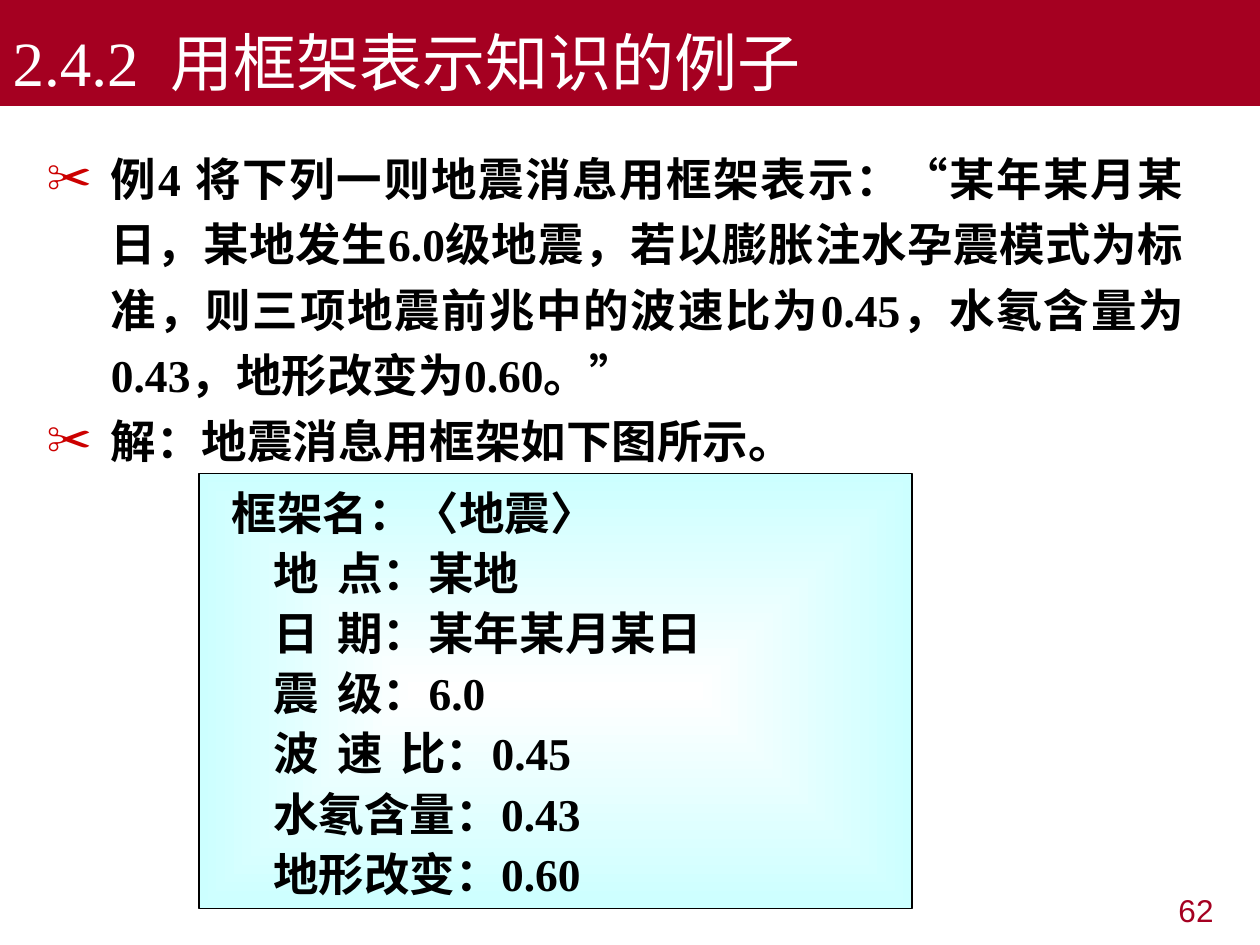
from dataclasses import dataclass

from lxml import etree
from pptx import Presentation
from pptx.dml.color import RGBColor as Rgb
from pptx.enum import shapes, text
from pptx.oxml import ns
from pptx.util import Emu, Inches, Pt

COLS, ROWS = 100, 75


@dataclass(frozen=True)
class Theme:
    band: str = "A50021"
    mark: str = "CC0000"
    ink: str = "000000"
    pale: str = "FFFFFF"
    tint: str = "CCFFFF"
    serif: str = "Times New Roman"
    sans: str = "Arial"
    head: int = 36
    main: int = 26
    small: int = 18


LOOK = Theme()
FACTS = [
    "例4 将下列一则地震消息用框架表示：“某年某月某日，某地发生6.0级地震，"
    "若以膨胀注水孕震模式为标准，则三项地震前兆中的波速比为0.45，"
    "水氡含量为0.43，地形改变为0.60。”",
    "解：地震消息用框架如下图所示。",
]
# Slot text, with the tab stops (inches) that spread its label
SLOTS = [
    ("地\t点：某地", [1.43]),
    ("日\t期：某年某月某日", [1.43]),
    ("震\t级：6.0", [1.43]),
    ("波\t速\t比：0.45", [1.02, 1.55]),
    ("水氡含量：0.43", []),
    ("地形改变：0.60", []),
]


def grid(deck, col, row, wide, high):
    """Turn grid columns and rows into left, top, width, height."""
    x, y = deck.slide_width / COLS, deck.slide_height / ROWS
    return [Emu(round(n)) for n in (col * x, row * y, wide * x, high * y)]


def place(shape, box):
    shape.left, shape.top, shape.width, shape.height = box


def node(up, tag, **attrs):
    return etree.SubElement(up, ns.qn(tag), attrs)


def write(para, words, size, color, font=LOOK.serif, bold=False):
    run = para.add_run()
    run.text = words
    run.font.name, run.font.size, run.font.bold = font, Pt(size), bold
    run.font.color.rgb = Rgb.from_string(color)


def setup(frame, anchor):
    frame.word_wrap = True
    frame.auto_size = text.MSO_AUTO_SIZE.NONE
    frame.vertical_anchor = anchor


def lines(frame, count):
    """Give the frame as many paragraphs as asked for."""
    for _ in range(count - 1):
        frame.add_paragraph()
    return frame.paragraphs


def title(shape, box, words):
    place(shape, box)
    shape.fill.solid()
    shape.fill.fore_color.rgb = Rgb.from_string(LOOK.band)
    setup(shape.text_frame, text.MSO_ANCHOR.BOTTOM)
    para = shape.text_frame.paragraphs[0]
    para.alignment = text.PP_ALIGN.LEFT
    write(para, words, LOOK.head, LOOK.pale)


def bullet(para):
    props = para._p.get_or_add_pPr()
    hang = Inches(0.51)
    props.set("marL", str(hang))
    props.set("indent", str(-hang))
    node(node(props, "a:buClr"), "a:srgbClr", val=LOOK.mark)
    node(props, "a:buChar", char="✂")


def body(shape, box, items):
    place(shape, box)
    setup(shape.text_frame, text.MSO_ANCHOR.TOP)
    fonts = [LOOK.serif, LOOK.sans]
    gaps = [6.5, 0]
    paras = lines(shape.text_frame, len(items))
    for para, words, font, gap in zip(paras, items, fonts, gaps):
        para.alignment = text.PP_ALIGN.JUSTIFY
        para.line_spacing, para.space_before = 1.2, Pt(gap)
        bullet(para)
        write(para, words, LOOK.main, LOOK.ink, font, True)


def glow(fill):
    """Fill with a gradient that spreads from the centre to the edges."""
    fill.gradient()
    for stop, color, at in zip(fill.gradient_stops, (LOOK.pale, LOOK.tint), (0, 1)):
        stop.color.rgb, stop.position = Rgb.from_string(color), at


def frame(slide, box, name, slots):
    """Draw the knowledge frame: its name, then its indented slots."""
    shape = slide.shapes.add_shape(shapes.MSO_SHAPE.RECTANGLE, *box)
    shape.shadow.inherit = False
    glow(shape.fill)
    grad = shape._element.spPr.find(ns.qn("a:gradFill"))
    grad.remove(grad.find(ns.qn("a:lin")))
    half = dict.fromkeys("ltrb", "50000")
    node(node(grad, "a:path", path="rect"), "a:fillToRect", **half)
    shape.line.color.rgb = Rgb.from_string(LOOK.ink)
    shape.line.width = Pt(0.75)
    setup(shape.text_frame, text.MSO_ANCHOR.TOP)
    rows = [(name, [], 0.16)] + [(words, stops, 0.49) for words, stops in slots]
    for para, (words, stops, inset) in zip(lines(shape.text_frame, len(rows)), rows):
        para.alignment = text.PP_ALIGN.LEFT
        para.line_spacing = 1.1
        props = para._p.get_or_add_pPr()
        props.set("marL", "0")
        props.set("indent", str(Inches(inset)))
        if stops:
            tabs = node(props, "a:tabLst")
            for stop in stops:
                node(tabs, "a:tab", pos=str(Inches(stop)), algn="l")
        write(para, words, LOOK.main, LOOK.ink, bold=True)


def number(slide, box, words):
    shape = slide.shapes.add_textbox(*box)
    setup(shape.text_frame, text.MSO_ANCHOR.TOP)
    para = shape.text_frame.paragraphs[0]
    para.alignment = text.PP_ALIGN.RIGHT
    write(para, words, LOOK.small, LOOK.band, LOOK.sans)


def main():
    deck = Presentation()
    deck.slide_width, deck.slide_height = Inches(10), Inches(7.5)
    slide = deck.slides.add_slide(deck.slide_layouts[1])
    title(slide.shapes.title, grid(deck, 0, 0, COLS, 8.4),
          "2.4.2  用框架表示知识的例子")
    body(slide.placeholders[1], grid(deck, 2.7, 10.6, 92.3, 59.1), FACTS)
    frame(slide, grid(deck, 15.8, 37.6, 56.6, 34.5), "框架名：〈地震〉", SLOTS)
    number(slide, grid(deck, 74, 70.2, 23.3, 5.2), "62")
    deck.save("out.pptx")


if __name__ == "__main__":
    main()
